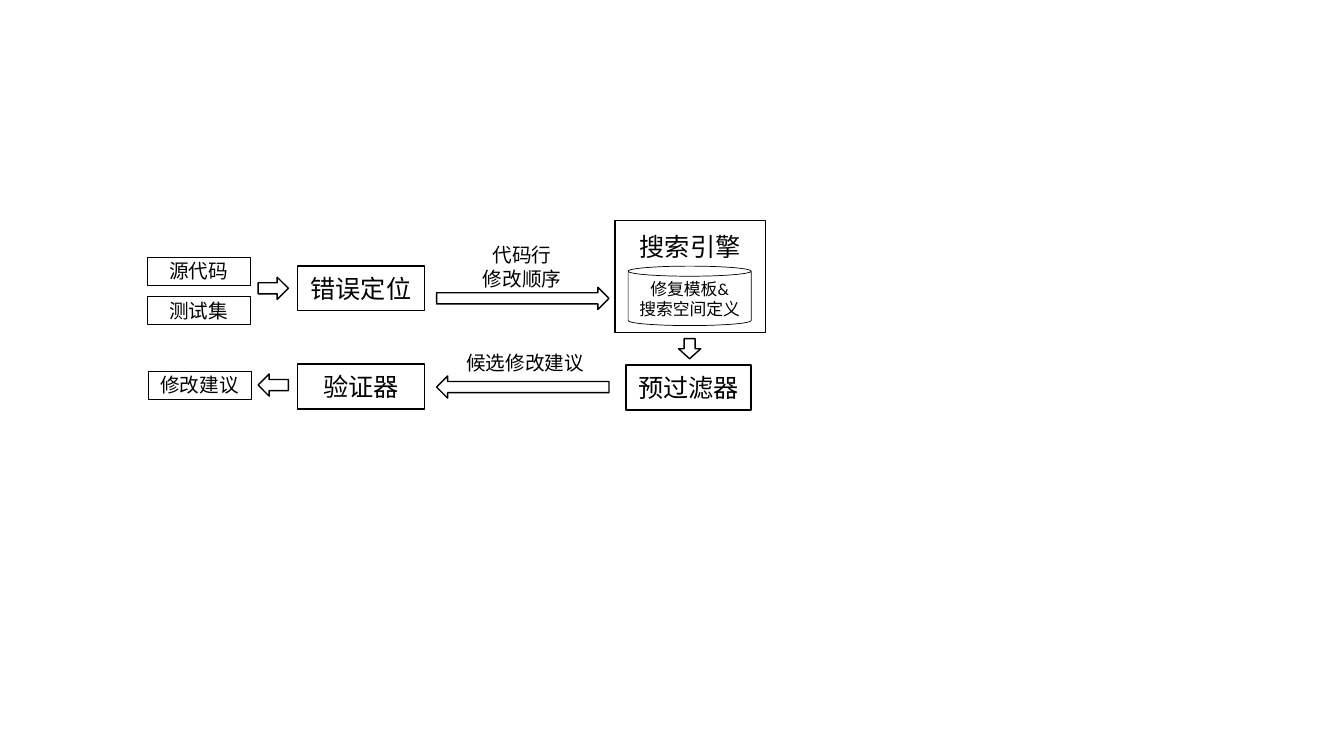
"""Builds the program repair workflow slide."""
import dataclasses

import pptx
import pptx.dml.color
import pptx.enum.shapes
import pptx.enum.text
import pptx.util

Inches = pptx.util.Inches
Pt = pptx.util.Pt
Preset = pptx.enum.shapes.MSO_SHAPE
Anchor = pptx.enum.text.MSO_ANCHOR


@dataclasses.dataclass(frozen=True)
class Theme:
    font: str = "Calibri"
    ink: str = "000000"
    paper: str = "FFFFFF"
    stage_size: int = 18
    label_size: int = 14
    store_size: int = 12
    thin: float = 0.5
    medium: float = 1
    thick: float = 1.5


def write_text(shape, text, *, font, size, color, anchor=Anchor.MIDDLE, top_inset=0):
    frame = shape.text_frame
    frame.word_wrap = True
    frame.vertical_anchor = anchor
    frame.margin_left = frame.margin_right = frame.margin_bottom = 0
    frame.margin_top = Inches(top_inset)
    frame.text = text
    for paragraph in frame.paragraphs:
        paragraph.alignment = pptx.enum.text.PP_ALIGN.CENTER
        paragraph.font.name = font
        paragraph.font.size = Pt(size)
        paragraph.font.color.rgb = pptx.dml.color.RGBColor.from_string(color)


class Diagram:
    def __init__(self, slide, theme):
        self.slide = slide
        self.theme = theme

    def outline(self, preset, bounds, width, color=None):
        shape = self.slide.shapes.add_shape(preset, *map(Inches, bounds))
        shape.shadow.inherit = False
        shape.fill.solid()
        shape.fill.fore_color.rgb = pptx.dml.color.RGBColor.from_string(self.theme.paper)
        shape.line.color.rgb = pptx.dml.color.RGBColor.from_string(color or self.theme.ink)
        shape.line.width = Pt(width)
        return shape

    def text(self, shape, text, size, **layout):
        write_text(shape, text, font=self.theme.font, size=size, color=self.theme.ink, **layout)

    def stage(self, text, bounds, width=None, **layout):
        shape = self.outline(Preset.RECTANGLE, bounds, width or self.theme.medium)
        self.text(shape, text, self.theme.stage_size, **layout)

    def artifact(self, text, left, top):
        shape = self.outline(Preset.RECTANGLE, (left, top, 1.02, 0.28), self.theme.thin)
        self.text(shape, text, self.theme.label_size)

    def flow_label(self, text, bounds):
        shape = self.outline(Preset.RECTANGLE, bounds, self.theme.thin, self.theme.paper)
        self.text(shape, text, self.theme.label_size)

    def store(self, text, bounds):
        shape = self.outline(Preset.CAN, bounds, self.theme.thin)
        shape.adjustments[0] = 0.17
        self.text(shape, text, self.theme.store_size)

    def arrow(self, preset, bounds):
        self.outline(preset, bounds, self.theme.medium)


presentation = pptx.Presentation()
presentation.slide_width = Inches(13.33)
presentation.slide_height = Inches(7.5)
theme = Theme()
diagram = Diagram(presentation.slides.add_slide(presentation.slide_layouts[6]), theme)

for text, left, top in (
    ("源代码", 1.46, 2.55),
    ("测试集", 1.46, 2.94),
    ("修改建议", 1.47, 3.68),
):
    diagram.artifact(text, left, top)

diagram.stage("错误定位", (2.95, 2.64, 1.26, 0.44))
diagram.stage("搜索引擎", (6.1, 2.19, 1.49, 1.11), anchor=Anchor.TOP, top_inset=0.1)
diagram.stage("预过滤器", (6.21, 3.62, 1.24, 0.45), theme.thick)
diagram.stage("验证器", (2.95, 3.61, 1.26, 0.45))
diagram.store("修复模板&\n搜索空间定义", (6.23, 2.64, 1.22, 0.59))

diagram.flow_label("代码行\n修改顺序", (4.55, 2.44, 1.26, 0.41))
diagram.flow_label("候选修改建议", (4.49, 3.46, 1.44, 0.28))

for preset, bounds in (
    (Preset.RIGHT_ARROW, (2.56, 2.75, 0.3, 0.22)),
    (Preset.RIGHT_ARROW, (4.33, 2.85, 1.71, 0.22)),
    (Preset.DOWN_ARROW, (6.73, 3.36, 0.22, 0.2)),
    (Preset.LEFT_ARROW, (4.33, 3.73, 1.71, 0.22)),
    (Preset.LEFT_ARROW, (2.56, 3.71, 0.3, 0.22)),
):
    diagram.arrow(preset, bounds)

presentation.save("out.pptx")
